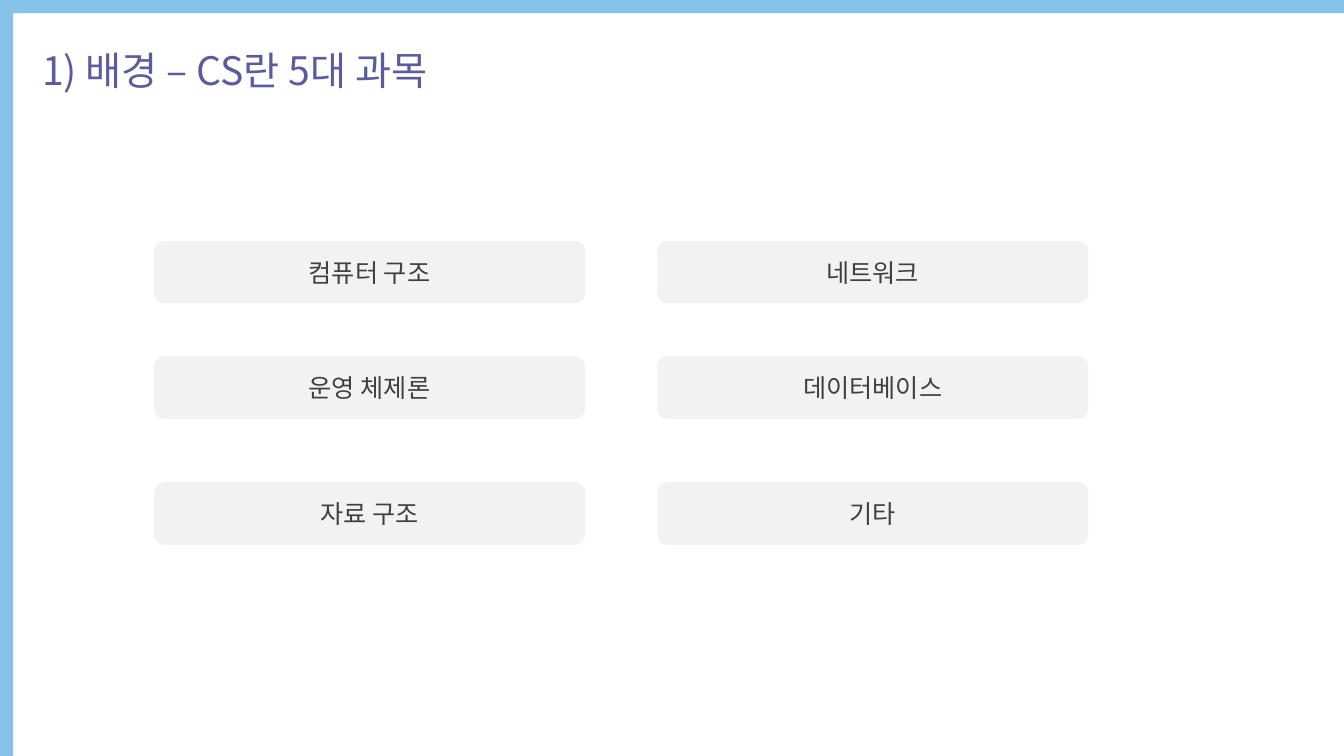
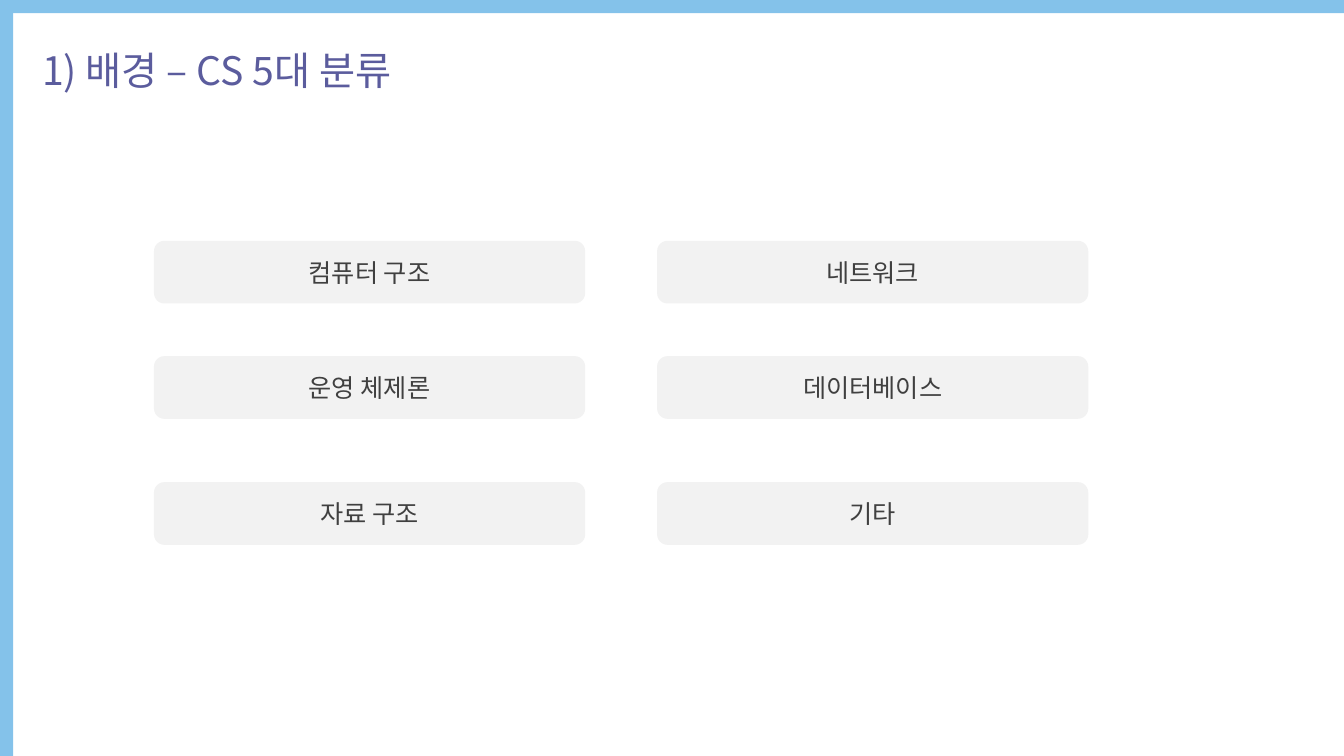
from dataclasses import dataclass

from pptx import Presentation
from pptx.dml.color import RGBColor
from pptx.enum.shapes import MSO_SHAPE
from pptx.enum.text import MSO_ANCHOR, PP_ALIGN
from pptx.oxml.ns import qn
from pptx.shapes.autoshape import Shape
from pptx.slide import Slide, SlideLayout
from pptx.util import Pt

FONT = "Noto Sans CJK KR"
SLIDE_WIDTH, SLIDE_HEIGHT = 960, 540
BAND_SIZE = 9.4
BAND_COLOUR = "84C2EA"
TITLE_FORMAT = {"size": Pt(28), "name": FONT}
TITLE_COLOUR = "5B5C9D"
CARD_FORMAT = {"size": Pt(18), "name": FONT}
CARD_COLOUR = "404040"
CARD_FILL = "F2F2F2"
CARD_WIDTH, CARD_HEIGHT = 308, 44.8
CARD_LEFTS = (110, 469.4)
CARD_TOPS = (172, 254.4, 344.4)
SUBJECTS = (
    ("컴퓨터 구조", "운영 체제론", "자료 구조"),
    ("네트워크", "데이터베이스", "기타"),
)
TITLES = ("1) 배경 – CS란 5대 과목", "1) 배경 – CS 5대 분류")


@dataclass(frozen=True)
class Area:
    left: float
    top: float
    width: float
    height: float


BANDS = (
    Area(0, 0, BAND_SIZE, SLIDE_HEIGHT),
    Area(0, 0, SLIDE_WIDTH, BAND_SIZE),
)
TITLE_AREA = Area(23, 29.5, 588, 41)


def colour(value: str) -> RGBColor:
    return RGBColor.from_string(value)


def place(shape: Shape, area: Area) -> None:
    for name in ("left", "top", "width", "height"):
        setattr(shape, name, Pt(getattr(area, name)))


def write(shape: Shape, text: str, values: dict, ink: str,
          alignment: PP_ALIGN, anchor: MSO_ANCHOR) -> None:
    frame = shape.text_frame
    frame.word_wrap = True
    frame.vertical_anchor = anchor
    para = frame.paragraphs[0]
    para.alignment = alignment
    span = para.add_run()
    span.text = text
    for name, value in values.items():
        setattr(span.font, name, value)
    span.font.color.rgb = colour(ink)
    east_asian = span.font._element.makeelement(qn("a:ea"), {"typeface": FONT})
    span.font._element.append(east_asian)


def add_filled(page: Slide, kind: MSO_SHAPE, area: Area, fill: str) -> Shape:
    shape = page.shapes.add_shape(kind, 0, 0, 0, 0)
    place(shape, area)
    shape.shadow.inherit = False
    shape.fill.solid()
    shape.fill.fore_color.rgb = colour(fill)
    shape.line.fill.background()
    return shape


def add_master_bands(deck: Presentation, page: Slide) -> None:
    tree = deck.slide_master.shapes.element
    for index, area in enumerate(BANDS):
        band = add_filled(page, MSO_SHAPE.RECTANGLE, area, BAND_COLOUR)
        band.name = f"Band {index + 1}"
        band.element.xpath("./p:nvSpPr/p:cNvPr")[0].set("id", str(101 + index))
        tree.insert(2 + index, band.element)


def add_page(deck: Presentation, layout: SlideLayout, title: str) -> Slide:
    page = deck.slides.add_slide(layout)
    write(page.shapes.title, title, TITLE_FORMAT, TITLE_COLOUR,
          PP_ALIGN.LEFT, MSO_ANCHOR.MIDDLE)
    for left, column in zip(CARD_LEFTS, SUBJECTS):
        for top, subject in zip(CARD_TOPS, column):
            area = Area(left, top, CARD_WIDTH, CARD_HEIGHT)
            card = add_filled(page, MSO_SHAPE.ROUNDED_RECTANGLE, area, CARD_FILL)
            write(card, subject, CARD_FORMAT, CARD_COLOUR,
                  PP_ALIGN.CENTER, MSO_ANCHOR.MIDDLE)
    return page


def main() -> None:
    deck = Presentation()
    deck.slide_width, deck.slide_height = Pt(SLIDE_WIDTH), Pt(SLIDE_HEIGHT)
    layout = deck.slide_layouts.get_by_name("Title Only")
    place(layout.placeholders[0], TITLE_AREA)
    pages = [add_page(deck, layout, title) for title in TITLES]
    add_master_bands(deck, pages[0])
    deck.save("out.pptx")


if __name__ == "__main__":
    main()
